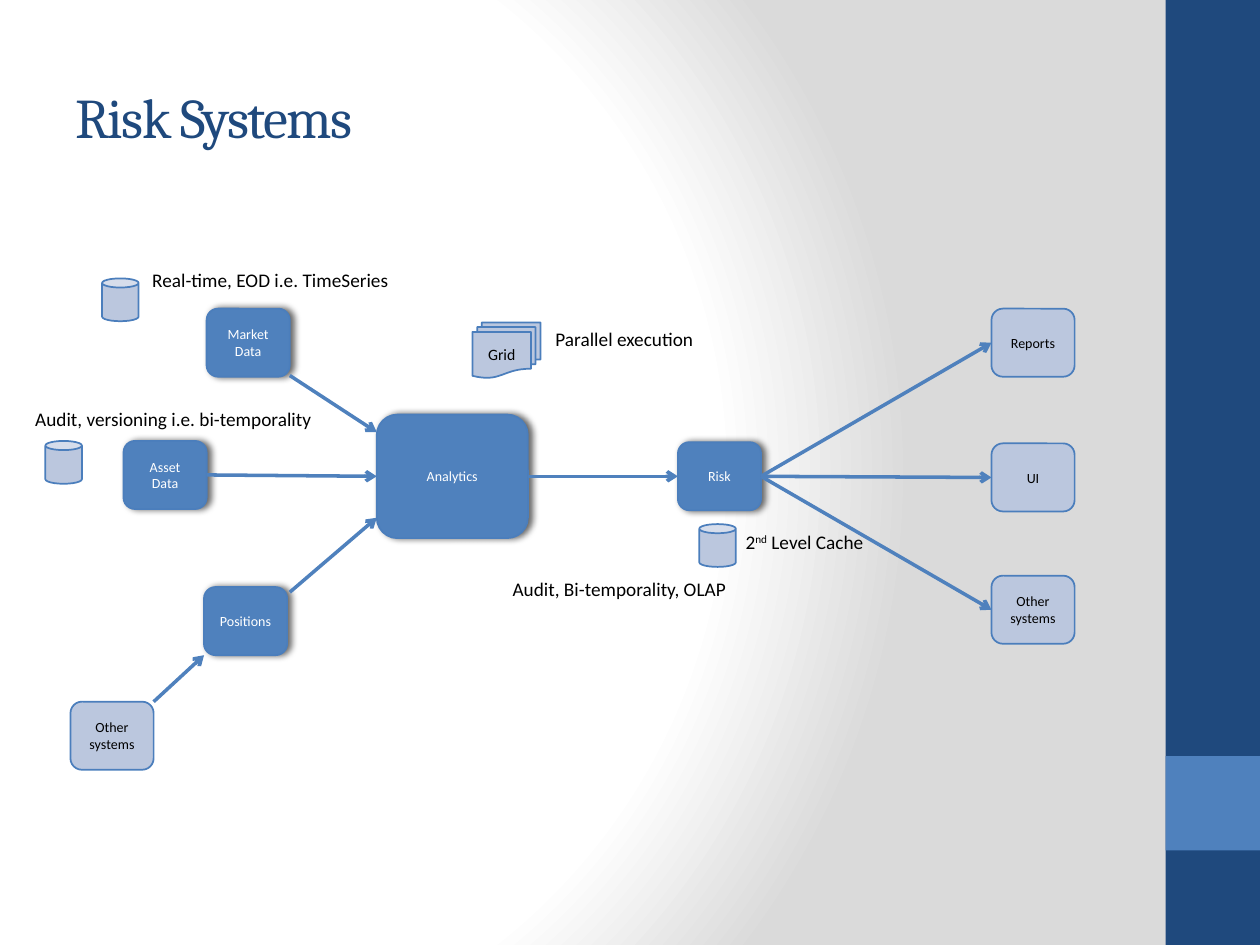
from dataclasses import dataclass

import pptx
import pptx.dml.color
import pptx.enum.shapes
import pptx.enum.text
import pptx.oxml
import pptx.oxml.ns
import pptx.util
from lxml import etree

Pt = pptx.util.Pt
qn = pptx.oxml.ns.qn
SHAPE = pptx.enum.shapes.MSO_SHAPE
ANCHOR = pptx.enum.text.MSO_ANCHOR
ALIGN = pptx.enum.text.PP_ALIGN
AUTO = pptx.enum.text.MSO_AUTO_SIZE


@dataclass(frozen=True)
class Theme:
    heading_font: str = "Cambria"
    body_font: str = "Calibri"
    navy: str = "1F497D"
    blue: str = "4F81BD"
    pale: str = "BBC7DE"
    outline: str = "4B7EBC"
    white: str = "FFFFFF"
    black: str = "000000"
    grey: str = "DADADA"
    title_size: float = 32
    label_size: float = 11
    grid_size: float = 9
    node_size: float = 8


def rgb(value):
    return pptx.dml.color.RGBColor.from_string(value)


def write_text(frame, text, *, font, size, color, align=ALIGN.LEFT,
               anchor=ANCHOR.TOP, wrap=True, spacing=None):
    """Fill a frame; text is a string or a list of (string, baseline percent)."""
    frame.word_wrap = wrap
    frame.vertical_anchor = anchor
    paragraph = frame.paragraphs[0]
    paragraph.alignment = align
    for words, baseline in [(text, 0)] if isinstance(text, str) else text:
        run = paragraph.add_run()
        run.text = words
        run.font.name = font
        run.font.size = Pt(size)
        run.font.color.rgb = rgb(color)
        properties = run._r.get_or_add_rPr()
        if baseline:
            properties.set("baseline", str(baseline * 1000))
        if spacing is not None:
            properties.set("spc", str(spacing * 100))


class Diagram:
    def __init__(self, slide, theme):
        self.slide = slide
        self.theme = theme

    def background(self):
        """Radial gradient centred left of the middle."""
        stops = "".join(
            f'<a:gs pos="{percent * 1000}"><a:srgbClr val="{color}"/></a:gs>'
            for percent, color in ((0, self.theme.white), (75, self.theme.white),
                                   (100, self.theme.grey)))
        self.slide.element.cSld.insert(0, pptx.oxml.parse_xml(
            f'<p:bg {pptx.oxml.ns.nsdecls("p", "a")}><p:bgPr>'
            f'<a:gradFill rotWithShape="1"><a:gsLst>{stops}</a:gsLst>'
            '<a:path path="circle"><a:fillToRect l="20000" t="50000" '
            'r="100000" b="50000"/></a:path></a:gradFill>'
            '<a:effectLst/></p:bgPr></p:bg>'))

    def shape(self, kind, left, top, width, height, fill, outlined=True):
        shape = self.slide.shapes.add_shape(
            kind, Pt(left), Pt(top), Pt(width), Pt(height))
        shape.shadow.inherit = False
        shape.fill.solid()
        shape.fill.fore_color.rgb = rgb(fill)
        if outlined:
            shape.line.color.rgb = rgb(self.theme.outline)
            shape.line.width = Pt(1)
        else:
            shape.line.fill.background()
        return shape

    def caption(self, shape, text, size, color):
        write_text(shape.text_frame, text, font=self.theme.body_font, size=size,
                   color=color, align=ALIGN.CENTER, anchor=ANCHOR.MIDDLE)

    def node(self, text, left, top, width=47.5, height=38.9, core=True):
        """Rounded box: core systems are solid with a shadow, outer ones pale."""
        theme = self.theme
        box = self.shape(SHAPE.ROUNDED_RECTANGLE, left, top, width, height,
                         theme.blue if core else theme.pale)
        if core:
            self.drop_shadow(box)
        self.caption(box, text, theme.node_size, theme.white if core else theme.black)

    def drop_shadow(self, shape):
        effects = shape.element.spPr.find(qn("a:effectLst"))
        shadow = etree.SubElement(
            effects, qn("a:outerShdw"), blurRad=str(Pt(4)), dist=str(Pt(2)),
            dir="0", algn="ctr", rotWithShape="0")
        color = etree.SubElement(shadow, qn("a:srgbClr"), val=self.theme.black)
        etree.SubElement(color, qn("a:alpha"), val="60000")

    def database(self, left, top):
        self.shape(SHAPE.CAN, left, top, 20.9, 24.5, self.theme.pale)

    def grid(self, text, left, top):
        stack = self.shape(SHAPE.FLOWCHART_MULTIDOCUMENT, left, top, 38.9, 31.7,
                           self.theme.pale)
        self.caption(stack, text, self.theme.grid_size, self.theme.black)

    def arrow(self, start, end):
        connector = self.slide.shapes.add_connector(
            pptx.enum.shapes.MSO_CONNECTOR.STRAIGHT, *map(Pt, (*start, *end)))
        connector.line.color.rgb = rgb(self.theme.blue)
        connector.line.width = Pt(2)
        properties = connector.element.spPr
        etree.SubElement(properties.find(qn("a:ln")), qn("a:tailEnd"), type="arrow")
        etree.SubElement(properties, qn("a:effectLst"))

    def textbox(self, left, top, width, height):
        return self.slide.shapes.add_textbox(
            Pt(left), Pt(top), Pt(width), Pt(height)).text_frame

    def title(self, text):
        write_text(self.textbox(36, 21.6, 600, 90), text,
                   font=self.theme.heading_font, size=self.theme.title_size,
                   color=self.theme.navy, anchor=ANCHOR.MIDDLE, spacing=-1)

    def label(self, text, left, top, width):
        frame = self.textbox(left, top, width, 20.9)
        write_text(frame, text, font=self.theme.body_font,
                   size=self.theme.label_size, color=self.theme.black, wrap=False)
        frame.auto_size = AUTO.SHAPE_TO_FIT_TEXT


def main():
    deck = pptx.Presentation()
    deck.slide_width, deck.slide_height = Pt(720), Pt(540)
    theme = Theme()
    diagram = Diagram(deck.slides.add_slide(deck.slide_layouts[6]), theme)

    diagram.background()
    diagram.shape(SHAPE.RECTANGLE, 666, 0, 54, 540, theme.navy, outlined=False)
    diagram.shape(SHAPE.RECTANGLE, 666, 432, 54, 54, theme.blue, outlined=False)
    diagram.title("Risk Systems")

    diagram.node("Analytics", 215.3, 236.9, 86.4, 70.6)
    for name, left, top in (("Market Data", 118.1, 176.4), ("Asset Data", 70.6, 252),
                            ("Positions", 116.6, 335.5), ("Risk", 387.4, 252.7)):
        diagram.node(name, left, top)
    diagram.node("Other systems", 40.3, 401, core=False)

    for start, end in (((165.6, 214.6), (215.3, 247)),
                       ((118.1, 271.4), (215.3, 272.2)),
                       ((165.6, 338.4), (215.3, 295.9)),
                       ((301.7, 272.2), (387.4, 272.2)),
                       ((87.8, 401), (116.6, 374.4))):
        diagram.arrow(start, end)

    outputs_left = 566.6
    for name, top in (("Reports", 176.4), ("UI", 253.4), ("Other systems", 329)):
        diagram.node(name, outputs_left, top, core=False)
        diagram.arrow((434.9, 272.2), (outputs_left, top + 19.45))

    for left, top in ((58.3, 159.1), (25.9, 252), (399.6, 299.5)):
        diagram.database(left, top)
    diagram.grid("Grid", 270, 184.3)

    for text, left, top, width in (
            ("Parallel execution", 310.3, 183.6, 95),
            ("Real-time, EOD i.e. TimeSeries", 79.9, 149.8, 153.4),
            ("Audit, versioning i.e. bi-temporality", 13, 229, 174.2),
            ("Audit, Bi-temporality, OLAP", 285.8, 326.2, 138.2),
            ([("2", 0), ("nd", 30), (" Level Cache", 0)], 419, 299.5, 83.5)):
        diagram.label(text, left, top, width)

    deck.save("out.pptx")


if __name__ == "__main__":
    main()
